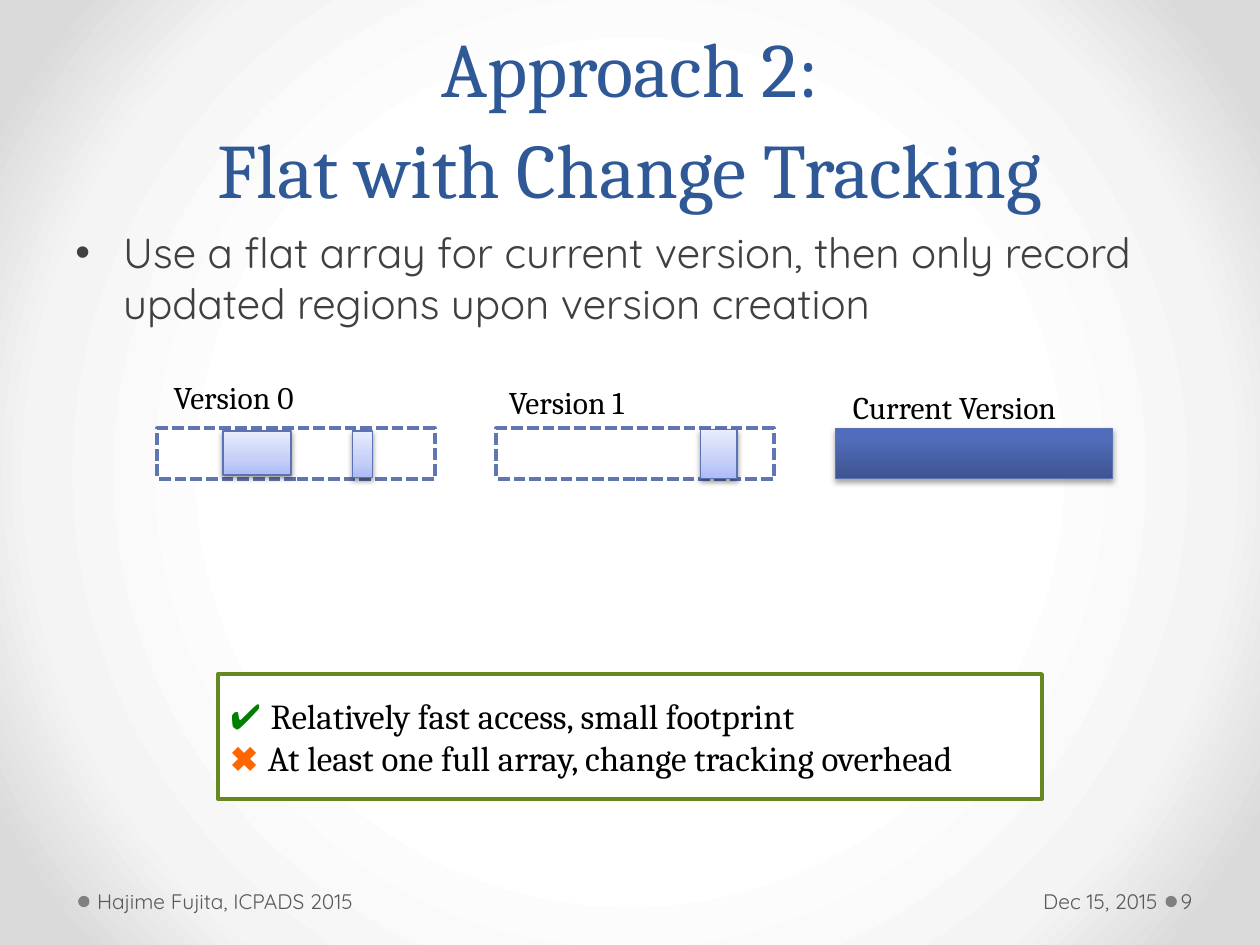
"""Builds a slide on keeping array versions as a flat array with change tracking."""
from typing import NamedTuple, Optional

from lxml.etree import SubElement
from pptx import Presentation
from pptx.dml.color import RGBColor
from pptx.enum.dml import MSO_LINE
from pptx.enum.shapes import MSO_SHAPE as Preset
from pptx.enum.text import MSO_ANCHOR as Anchor, MSO_AUTO_SIZE as AutoSize, PP_ALIGN as Align
from pptx.oxml.ns import qn
from pptx.util import Emu, Inches, Pt

COLUMN = ROW = Inches(0.1)
COLUMNS, ROWS = 100, 75
BAR_LEFT, BAR_TOP, BAR_WIDTH, BAR_HEIGHT, BAR_STEP = 12.5, 34, 22, 4, 26.9
SERIF, SANS = "Cambria", "Quicksand"
COLORS = {
    "title": "2F5897", "body": "404040", "footer": "595959", "dot": "808080",
    "black": "000000", "white": "FFFFFF", "dashes": "6076B4", "edge": "5C72B2",
    "frame": "63891F", "check": "008000", "cross": "FF6600",
}
BACKDROP = ((50, "FFFFFF"), (76, "F4F4F4"), (92, "DADADA"))
FULL_ARRAY = ((0, "3E5490"), (80, "516DBB"), (100, "4F6CBE"))
UPDATED = ((0, "ADBBF6"), (35, "C5CFF8"), (100, "E8ECFD"))


class Area(NamedTuple):
    left: float
    top: float
    width: float
    height: float

    def emu(self) -> list[Emu]:
        return [Emu(round(length * unit)) for length, unit in zip(self, (COLUMN, ROW) * 2)]


class Label(NamedTuple):
    text: str
    area: Area
    size: float
    font: str
    color: str
    align: Align = Align.LEFT
    anchor: Anchor = Anchor.TOP
    insets: tuple = (0.1, 0.1)
    auto_size: AutoSize = AutoSize.NONE


class Region(NamedTuple):
    area: Area
    stops: tuple
    shadow_alpha: int
    shadow_distance: float


class Point(NamedTuple):
    mark: str
    mark_color: str
    text: str


LABELS = (
    Label("Dec 15, 2015", Area(69.6, 69.5, 22.8, 4), 12, SANS, "footer",
          Align.RIGHT, Anchor.MIDDLE, (0.1, 0.05)),
    Label("Hajime Fujita, ICPADS 2015", Area(7.2, 69.5, 31.1, 4), 12, SANS, "footer",
          anchor=Anchor.MIDDLE, insets=(0.05, 0.1)),
    Label("9", Area(93.4, 69.5, 6.1, 4), 12, SANS, "footer",
          anchor=Anchor.MIDDLE, insets=(0.03, 0.05)),
    *(Label(text, Area(left, 29.5 + 0.4 * index, 21.7, 4), 18, SERIF, "black",
            auto_size=AutoSize.SHAPE_TO_FIT_TEXT)
      for index, (text, left) in enumerate(
          (("Version 0", 12.8), ("Version 1", 39.4), ("Current Version", 66.7)))),
)
REGIONS = (
    Region(Area(BAR_LEFT + 2 * BAR_STEP, BAR_TOP, BAR_WIDTH, BAR_HEIGHT), FULL_ARRAY, 35, 1.8),
    Region(Area(17.7, 34.2, 5.4, 3.5), UPDATED, 38, 1.6),
    Region(Area(28, 34.2, 1.6, 3.7), UPDATED, 38, 1.6),
    Region(Area(55.6, 34.1, 2.9, 3.9), UPDATED, 38, 1.6),
)
POINTS = (
    Point("✔ ", "check", "Relatively fast access, small footprint"),
    Point("✖ ", "cross", "At least one full array, change tracking overhead"),
)


def rgb(name: str) -> RGBColor:
    return RGBColor.from_string(COLORS[name])


def add_element(parent, tag: str, **attributes):
    return SubElement(parent, qn(tag), {key: str(value) for key, value in attributes.items()})


def set_gradient(owner, fill, stops: tuple, angle: Optional[int] = None) -> None:
    fill.gradient()
    gradient = next(owner.iter(qn("a:gradFill")))
    for child in list(gradient):
        gradient.remove(child)
    stop_list = add_element(gradient, "a:gsLst")
    for position, color in stops:
        stop = add_element(stop_list, "a:gs", pos=position * 1000)
        add_element(stop, "a:srgbClr", val=color)
    if angle is None:
        circle = add_element(gradient, "a:path", path="circle")
        add_element(circle, "a:fillToRect", l=50000, t=50000, r=50000, b=50000)
    else:
        add_element(gradient, "a:lin", ang=angle * 60000, scaled=0)


def add_preset(slide, area: Area, fill: Optional[str] = None, line: Optional[str] = None,
               line_width: float = 2.25, preset: Preset = Preset.RECTANGLE):
    shape = slide.shapes.add_shape(preset, *area.emu())
    shape.shadow.inherit = False
    if fill:
        shape.fill.solid()
        shape.fill.fore_color.rgb = rgb(fill)
    if line:
        shape.line.color.rgb = rgb(line)
        shape.line.width = Pt(line_width)
    else:
        shape.line.fill.background()
    return shape


def add_region(slide, region: Region) -> None:
    shape = add_preset(slide, region.area, line="edge", line_width=0.75)
    properties = shape._element.spPr
    set_gradient(properties, shape.fill, region.stops, 270)
    shadow = add_element(properties.find(qn("a:effectLst")), "a:outerShdw",
                         blurRad=Pt(3.1), dist=Pt(region.shadow_distance),
                         dir=90 * 60000, rotWithShape=0)
    color = add_element(shadow, "a:srgbClr", val=COLORS["black"])
    add_element(color, "a:alpha", val=region.shadow_alpha * 1000)


def set_font(font, size: float, name: str, color: str) -> None:
    font.size, font.name = Pt(size), name
    font.color.rgb = rgb(color)


def add_label(slide, label: Label, bullet: Optional[str] = None):
    frame = slide.shapes.add_textbox(*label.area.emu()).text_frame
    frame.word_wrap = True
    frame.auto_size = label.auto_size
    frame.vertical_anchor = label.anchor
    frame.margin_left, frame.margin_right = map(Inches, label.insets)
    paragraph = frame.paragraphs[0]
    paragraph.text = label.text
    paragraph.alignment = label.align
    if bullet:
        properties = paragraph._p.get_or_add_pPr()
        properties.set("marL", str(Inches(0.38)))
        properties.set("indent", str(-Inches(0.38)))
        add_element(properties, "a:buFont", typeface="Arial")
        add_element(properties, "a:buChar", char=bullet)
    set_font(paragraph.font, label.size, label.font, label.color)
    return paragraph


def add_summary(slide, area: Area) -> None:
    frame = add_preset(slide, area, "white", "frame").text_frame
    frame.word_wrap = True
    frame.vertical_anchor = Anchor.MIDDLE
    for index, point in enumerate(POINTS):
        paragraph = frame.add_paragraph() if index else frame.paragraphs[0]
        paragraph.alignment = Align.LEFT
        for text, font, color in ((point.mark, "Arial", point.mark_color),
                                  (point.text, SERIF, "black")):
            run = paragraph.add_run()
            run.text = text
            set_font(run.font, 20, font, color)


def main() -> None:
    presentation = Presentation()
    presentation.slide_width, presentation.slide_height = COLUMNS * COLUMN, ROWS * ROW
    slide = presentation.slides.add_slide(presentation.slide_layouts[6])
    set_gradient(slide._element, slide.background.fill, BACKDROP)

    for left in (92.5, 6.2):
        add_preset(slide, Area(left, 71.1, 0.9, 0.9), "dot", preset=Preset.OVAL)
    title = add_label(slide, Label("Approach 2:\vFlat with Change Tracking", Area(5, 0, 90, 17.5),
                                   44, SERIF, "title", Align.CENTER, Anchor.BOTTOM))
    title.line_spacing = Pt(58)
    add_label(slide, Label("Use a flat array for current version, then only record "
                           "updated regions upon version creation",
                           Area(5, 17.5, 90, 10.3), 24, SANS, "body"), bullet="•")

    for index in range(2):
        area = Area(BAR_LEFT + index * BAR_STEP, BAR_TOP, BAR_WIDTH, BAR_HEIGHT)
        add_preset(slide, area, "white", "dashes").line.dash_style = MSO_LINE.SQUARE_DOT
    for region in REGIONS:
        add_region(slide, region)
    for label in LABELS:
        add_label(slide, label)
    add_summary(slide, Area(17.3, 53.5, 65.4, 9.9))
    presentation.save("out.pptx")


if __name__ == "__main__":
    main()
